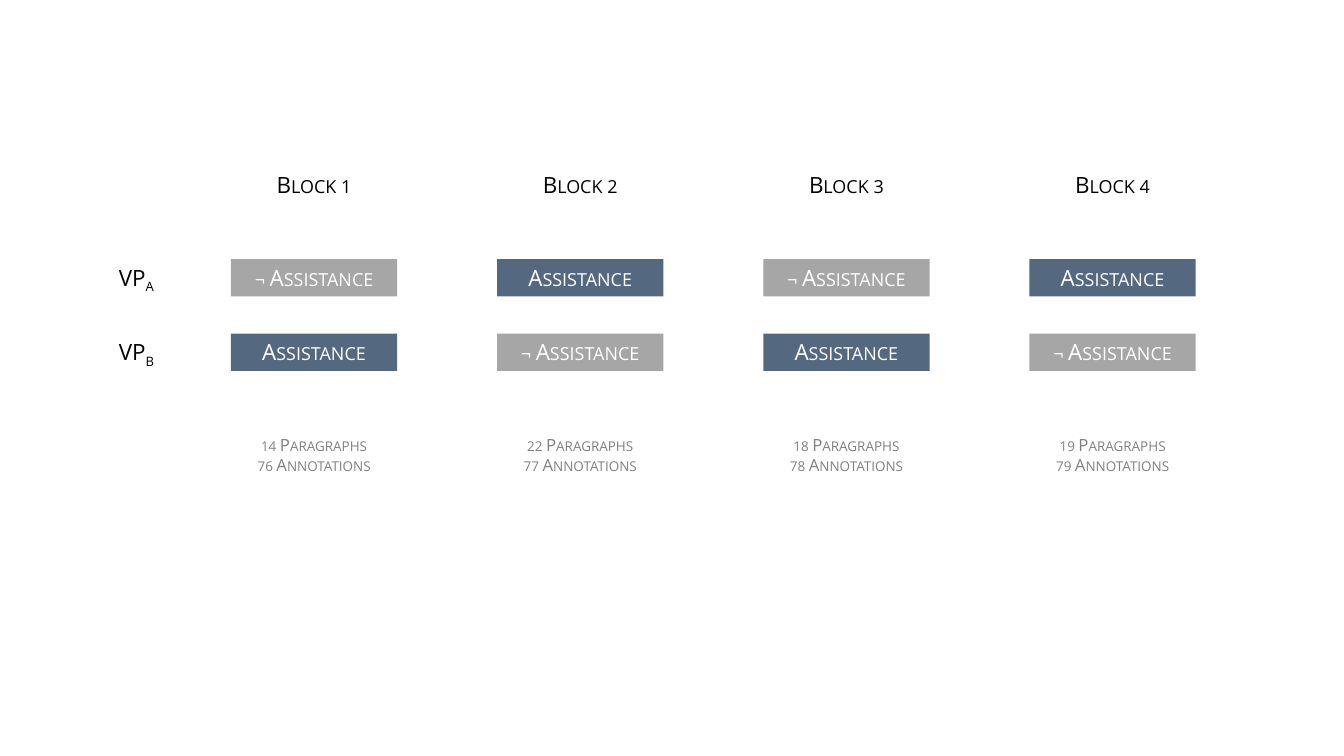
from dataclasses import dataclass

from pptx import Presentation
from pptx.dml.color import RGBColor
from pptx.enum.shapes import MSO_SHAPE
from pptx.enum.text import MSO_ANCHOR, MSO_AUTO_SIZE, PP_ALIGN
from pptx.util import Inches, Pt

RECTANGLE = MSO_SHAPE.RECTANGLE
TOP = MSO_ANCHOR.TOP
GROW = MSO_AUTO_SIZE.SHAPE_TO_FIT_TEXT
LEFT, CENTER = PP_ALIGN.LEFT, PP_ALIGN.CENTER


@dataclass(frozen=True)
class Theme:
    font: str = "Open Sans"
    label_size: int = 16
    count_size: int = 12
    black: RGBColor = RGBColor(0x00, 0x00, 0x00)
    white: RGBColor = RGBColor(0xFF, 0xFF, 0xFF)
    count_gray: RGBColor = RGBColor(0x80, 0x80, 0x80)
    assisted: RGBColor = RGBColor(0x54, 0x69, 0x80)
    unassisted: RGBColor = RGBColor(0xA6, 0xA6, 0xA6)


THEME = Theme()
BLOCK_COUNTS = [(14, 76), (22, 77), (18, 78), (19, 79)]
GROUPS = ["A", "B"]
BLOCK_LEFT, BLOCK_STEP, BLOCK_WIDTH = 2.29, 2.64, 1.65
GROUP_LEFT, GROUP_TOP, GROUP_STEP = 1.08, 2.57, 0.74
LABEL_WIDTH, LABEL_HEIGHT = 1.21, 0.37
HEADING_TOP = 1.65
COUNTS_TOP, COUNTS_HEIGHT = 4.26, 0.5


def write_lines(box, lines, size, color, align=CENTER, small_caps=True):
    frame = box.text_frame
    frame.word_wrap = True
    frame.auto_size = GROW
    frame.vertical_anchor = TOP
    frame.text = "\n".join(lines)
    for para in frame.paragraphs:
        para.alignment = align
        para.font.name = THEME.font
        para.font.size = Pt(size)
        para.font.color.rgb = color
        if small_caps:
            for span in para.runs:
                span._r.get_or_add_rPr().set("cap", "small")


def add_text(page, left, top, width, height, lines, size, color, **style):
    box = page.shapes.add_textbox(
        Inches(left), Inches(top), Inches(width), Inches(height))
    write_lines(box, lines, size, color, **style)
    return box


def add_group_label(page, top, group):
    box = add_text(page, GROUP_LEFT, top, LABEL_WIDTH, LABEL_HEIGHT, ["VP"],
                   THEME.label_size, THEME.black, align=LEFT, small_caps=False)
    span = box.text_frame.paragraphs[0].add_run()
    span.text = group
    span._r.get_or_add_rPr().set("baseline", "-25000")


def add_condition(page, left, top, assisted):
    box = page.shapes.add_shape(
        RECTANGLE, Inches(left), Inches(top),
        Inches(BLOCK_WIDTH), Inches(LABEL_HEIGHT))
    box.shadow.inherit = False
    box.fill.solid()
    box.fill.fore_color.rgb = THEME.assisted if assisted else THEME.unassisted
    box.line.fill.background()
    text = "Assistance" if assisted else "¬ Assistance"
    write_lines(box, [text], THEME.label_size, THEME.white)


def add_block(page, column, paragraphs, annotations):
    left = BLOCK_LEFT + column * BLOCK_STEP
    heading_left = left + (BLOCK_WIDTH - LABEL_WIDTH) / 2
    add_text(page, heading_left, HEADING_TOP, LABEL_WIDTH, LABEL_HEIGHT,
             [f"Block {column + 1}"], THEME.label_size, THEME.black)
    for row in range(len(GROUPS)):
        add_condition(page, left, GROUP_TOP + row * GROUP_STEP,
                      assisted=(row + column) % 2 == 1)
    add_text(page, left, COUNTS_TOP, BLOCK_WIDTH, COUNTS_HEIGHT,
             [f"{paragraphs} Paragraphs", f"{annotations} Annotations"],
             THEME.count_size, THEME.count_gray)


def main():
    deck = Presentation()
    deck.slide_width, deck.slide_height = Inches(13.33), Inches(7.5)
    page = deck.slides.add_slide(deck.slide_layouts[6])
    for row, group in enumerate(GROUPS):
        add_group_label(page, GROUP_TOP + row * GROUP_STEP, group)
    for column, (paragraphs, annotations) in enumerate(BLOCK_COUNTS):
        add_block(page, column, paragraphs, annotations)
    deck.save("out.pptx")


main()
